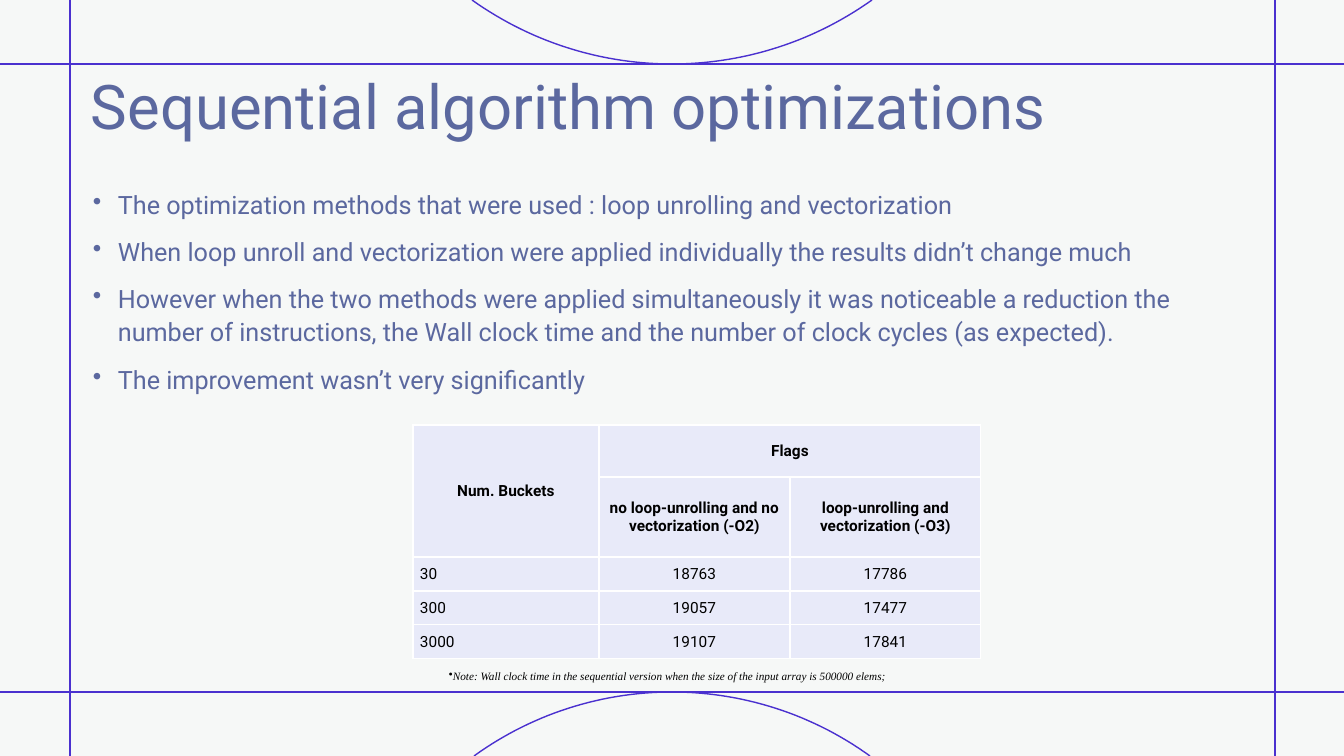
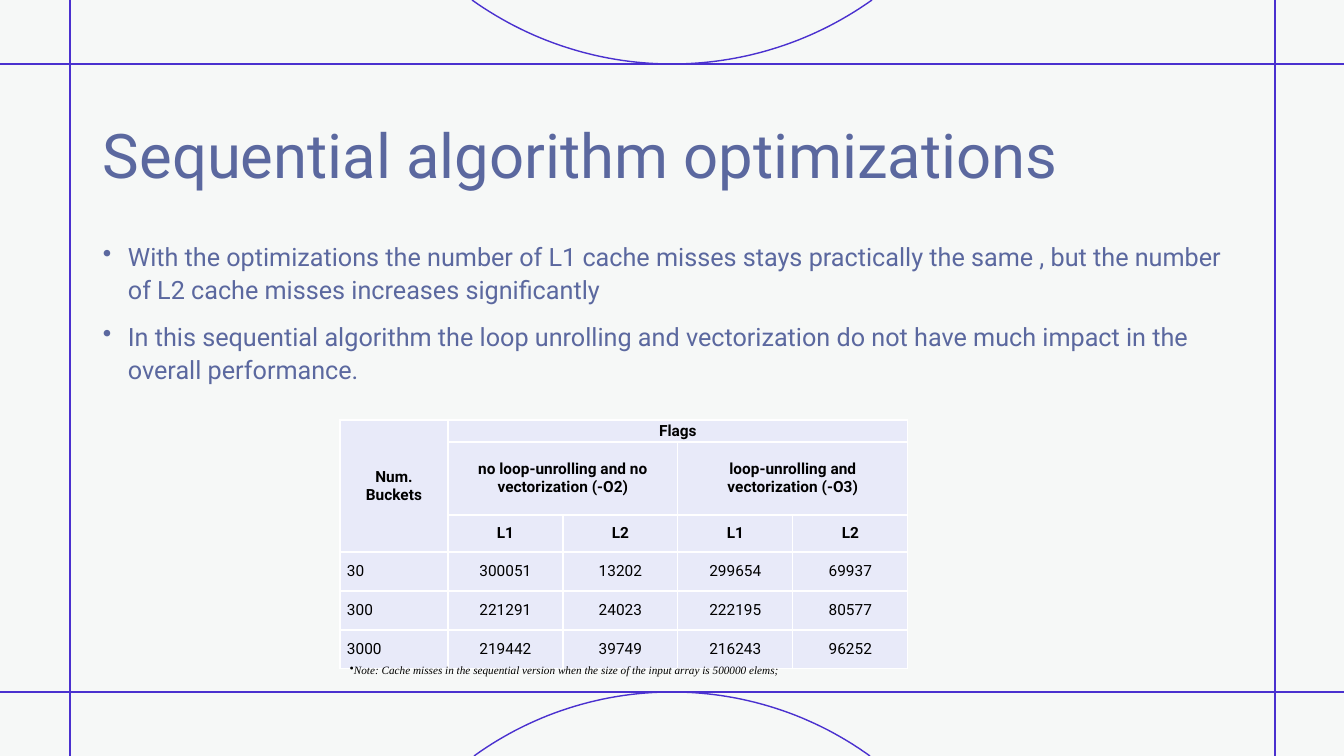
import math

import pptx
import pptx.dml.color
import pptx.enum.shapes
import pptx.enum.text
import pptx.oxml.ns
import pptx.util
from lxml import etree

RGBColor = pptx.dml.color.RGBColor
Pt = pptx.util.Pt
ALIGN = pptx.enum.text.PP_ALIGN
ANCHOR = pptx.enum.text.MSO_ANCHOR
qn = pptx.oxml.ns.qn

PAPER = RGBColor(0xF6, 0xF8, 0xF7)
VIOLET = RGBColor(0x4A, 0x31, 0xCF)
SLATE = RGBColor(0x5B, 0x68, 0x9F)
LAVENDER = RGBColor(0xE8, 0xEA, 0xF9)
BLACK = RGBColor(0, 0, 0)
WHITE = RGBColor(0xFF, 0xFF, 0xFF)

WIDTH, HEIGHT = 1344, 756
EMU_PER_PX = 12192000 / WIDTH

TITLE = "Sequential algorithm optimizations"
NO_FLAGS = "no loop-unrolling and no vectorization (-O2)"
WITH_FLAGS = "loop-unrolling and vectorization (-O3)"

# Spans are (top row, left column, bottom row, right column).
SLIDES = [
    {
        "title_at": (81, 32),
        "body_at": (83, 181),
        "bullets": [
            "The optimization methods that were used : loop unrolling and vectorization",
            "When loop unroll and vectorization were applied individually the results "
            "didn’t change much",
            "However when the two methods were applied simultaneously it was noticeable "
            "a reduction the number of instructions, the Wall clock time and the number "
            "of clock cycles (as expected).",
            "The improvement wasn’t very significantly",
        ],
        "table_at": (413, 425),
        "bucket_width": 186,
        "row_heights": [52, 80, 34, 34, 34],
        "header_rows": 2,
        "spans": [(0, 0, 1, 0), (0, 1, 0, 2)],
        "rows": [
            ("Num. Buckets", "Flags", ""),
            ("", NO_FLAGS, WITH_FLAGS),
            ("30", "18763", "17786"),
            ("300", "19057", "17477"),
            ("3000", "19107", "17841"),
        ],
        "note_at": (439, 663),
        "note": "Note: Wall clock time in the sequential version when the size of the "
                "input array is 500000 elems;",
    },
    {
        "title_at": (93, 81),
        "body_at": (93, 233),
        "bullets": [
            "With the optimizations the number of L1 cache misses stays practically the "
            "same , but the number of L2 cache misses increases significantly",
            "In this sequential algorithm the loop unrolling and vectorization do not "
            "have much impact in the overall performance.",
        ],
        "table_at": (340, 420),
        "bucket_width": 108,
        "row_heights": [22, 73, 36, 39, 39, 39],
        "header_rows": 3,
        "spans": [(0, 0, 2, 0), (0, 1, 0, 4), (1, 1, 1, 2), (1, 3, 1, 4)],
        "rows": [
            ("Num. Buckets", "Flags", "", "", ""),
            ("", NO_FLAGS, "", WITH_FLAGS, ""),
            ("", "L1", "L2", "L1", "L2"),
            ("30", "300051", "13202", "299654", "69937"),
            ("300", "221291", "24023", "222195", "80577"),
            ("3000", "219442", "39749", "216243", "96252"),
        ],
        "note_at": (340, 657),
        "note": "Note: Cache misses in the sequential version when the size of the "
                "input array is 500000 elems;",
    },
]

TEXT_WIDTH, TITLE_HEIGHT, BODY_HEIGHT = 1159, 146, 421
NOTE_WIDTH, NOTE_HEIGHT = 480, 26
TABLE_WIDTH = 568

# Frame lines as (x1, y1, x2, y2); arcs as (half chord, edge y, tip y).
LEFT, RIGHT, TOP, BOTTOM = 70, 1275, 64, 692
FRAME_LINES = [
    (0, BOTTOM, WIDTH, BOTTOM),
    (0, TOP, WIDTH, TOP),
    (RIGHT, HEIGHT, RIGHT, 0),
    (LEFT, HEIGHT, LEFT, 0),
]
FRAME_ARCS = [(200, 0, TOP), (198, HEIGHT, BOTTOM)]
ARC_STEPS = 60

TITLE_FONT = {"name": "Roboto", "size": Pt(44), "color": SLATE}
BODY_FONT = {"name": "Roboto", "size": Pt(18), "color": SLATE}
CELL_FONT = {"name": "Roboto", "size": Pt(11), "color": BLACK}
NOTE_FONT = {"name": "Times New Roman", "size": Pt(8), "italic": True, "color": BLACK}
BODY_PARAGRAPH = {"line_spacing": 1.1, "space_before": Pt(10)}
CELL_FORMAT = {
    "margin_left": Pt(5), "margin_right": Pt(5), "margin_top": 0, "margin_bottom": 0,
    "vertical_anchor": ANCHOR.MIDDLE,
}
PLAIN_TABLE = {"first_row": False, "horz_banding": False}


def px(length):
    return pptx.util.Emu(round(length * EMU_PER_PX))


def apply(target, values):
    for key, value in values.items():
        if key == "color":
            target.color.rgb = value
        else:
            setattr(target, key, value)


def add_bullet(paragraph, indent=0):
    properties = paragraph._p.get_or_add_pPr()
    properties.set("marL", str(px(indent)))
    properties.set("indent", str(-px(indent)))
    etree.SubElement(properties, qn("a:buChar")).set("char", "•")


def add_text(slide, box, lines, font, anchor=ANCHOR.TOP, paragraph_format=None):
    """Add a wrapped text box and return its paragraphs."""
    frame = slide.shapes.add_textbox(*map(px, box)).text_frame
    apply(frame, {"word_wrap": True, "vertical_anchor": anchor})
    for index, line in enumerate(lines):
        paragraph = frame.add_paragraph() if index else frame.paragraphs[0]
        apply(paragraph, paragraph_format or {})
        run = paragraph.add_run()
        run.text = line
        apply(run.font, font)
    return frame.paragraphs


def draw_frame(slide):
    fill = slide.background.fill
    fill.solid()
    fill.fore_color.rgb = PAPER
    outlines = []
    for ends in FRAME_LINES:
        rule = slide.shapes.add_connector(
            pptx.enum.shapes.MSO_CONNECTOR.STRAIGHT, *map(px, ends))
        etree.SubElement(rule._element.spPr, qn("a:effectLst"))
        outlines.append(rule.line)
    for half, edge, tip in FRAME_ARCS:
        arc = add_arc(slide, half, edge, tip)
        arc.fill.background()
        arc.shadow.inherit = False
        outlines.append(arc.line)
    for outline in outlines:
        apply(outline, {"width": Pt(1), "color": VIOLET})


def add_arc(slide, half, edge, tip):
    """Trace a circular arc from the slide edge to its tip and back."""
    depth = abs(tip - edge)
    radius = (half ** 2 + depth ** 2) / (2 * depth)
    toward_edge = math.copysign(1, edge - tip)
    sweep = math.asin(half / radius)
    points = []
    for step in range(ARC_STEPS + 1):
        angle = sweep * (2 * step / ARC_STEPS - 1)
        x = WIDTH / 2 + radius * math.sin(angle)
        y = tip + toward_edge * radius * (1 - math.cos(angle))
        points.append((px(x), px(y)))
    builder = slide.shapes.build_freeform(*points[0])
    builder.add_line_segments(points[1:], close=False)
    return builder.convert_to_shape()


def add_borders(cell):
    properties = cell._tc.get_or_add_tcPr()
    for side in ("lnL", "lnR", "lnT", "lnB"):
        border = etree.SubElement(properties, qn(f"a:{side}"), w=str(Pt(1)))
        fill = etree.SubElement(border, qn("a:solidFill"))
        etree.SubElement(fill, qn("a:srgbClr")).set("val", str(WHITE))


def fill_cell(cell, text, is_header, alignment):
    apply(cell, CELL_FORMAT)
    add_borders(cell)
    cell.fill.solid()
    cell.fill.fore_color.rgb = LAVENDER
    paragraph = cell.text_frame.paragraphs[0]
    paragraph.alignment = alignment
    if text:
        run = paragraph.add_run()
        run.text = text
        apply(run.font, {**CELL_FONT, "bold": is_header})
    else:
        # Keeps covered cells from stretching their row.
        etree.SubElement(paragraph._p, qn("a:endParaRPr")).set("sz", "1100")


def add_results(slide, content):
    rows, heights = content["rows"], content["row_heights"]
    flag_columns = len(rows[0]) - 1
    flag_width = (TABLE_WIDTH - content["bucket_width"]) / flag_columns
    widths = [content["bucket_width"]] + [flag_width] * flag_columns
    results = slide.shapes.add_table(
        len(rows), len(widths), *map(px, (*content["table_at"], TABLE_WIDTH, sum(heights)))
    ).table
    apply(results, PLAIN_TABLE)
    for column, width in zip(results.columns, widths):
        column.width = px(width)
    for row, height in zip(results.rows, heights):
        row.height = px(height)
    for r, texts in enumerate(rows):
        is_header = r < content["header_rows"]
        for c, text in enumerate(texts):
            alignment = ALIGN.CENTER if is_header or c else ALIGN.LEFT
            fill_cell(results.cell(r, c), text, is_header, alignment)
    for top, left, bottom, right in content["spans"]:
        results.cell(top, left).merge(results.cell(bottom, right))


def build_slide(deck, content):
    slide = deck.slides.add_slide(deck.slide_layouts[6])
    draw_frame(slide)
    add_text(slide, (*content["title_at"], TEXT_WIDTH, TITLE_HEIGHT), [TITLE],
             TITLE_FONT, ANCHOR.MIDDLE)
    for paragraph in add_text(slide, (*content["body_at"], TEXT_WIDTH, BODY_HEIGHT),
                              content["bullets"], BODY_FONT,
                              paragraph_format=BODY_PARAGRAPH):
        add_bullet(paragraph, indent=25)
    add_results(slide, content)
    for paragraph in add_text(slide, (*content["note_at"], NOTE_WIDTH, NOTE_HEIGHT),
                              [content["note"]], NOTE_FONT, ANCHOR.MIDDLE):
        add_bullet(paragraph)


def main():
    deck = pptx.Presentation()
    apply(deck, {"slide_width": px(WIDTH), "slide_height": px(HEIGHT)})
    for content in SLIDES:
        build_slide(deck, content)
    deck.save("out.pptx")


if __name__ == "__main__":
    main()
